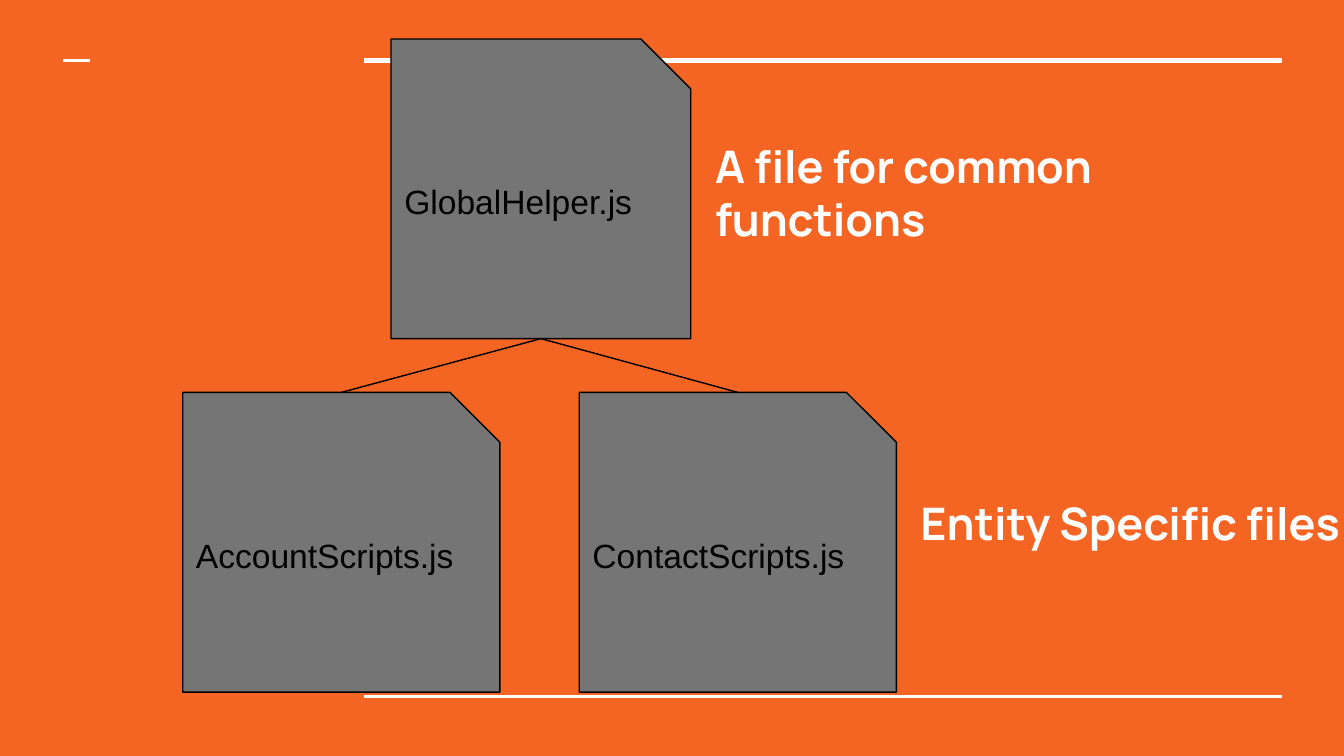
import pptx
import pptx.dml.color
import pptx.enum.shapes
import pptx.enum.text
import pptx.oxml
import pptx.util

Inches = pptx.util.Inches
RGBColor = pptx.dml.color.RGBColor
ORANGE = RGBColor(0xF4, 0x65, 0x24)
WHITE = RGBColor(0xFF, 0xFF, 0xFF)
BLACK = RGBColor(0x00, 0x00, 0x00)
GREY = RGBColor(0x75, 0x75, 0x75)
FILE_TOP = 2.92
FILE_WIDTH = 2.36
FILE_HEIGHT = 2.23


def write_text(shape, text, font_name, size, color, bold, anchor):
    """Fill a shape with one left-aligned run of text."""
    frame = shape.text_frame
    frame.word_wrap = True
    frame.auto_size = pptx.enum.text.MSO_AUTO_SIZE.NONE
    frame.vertical_anchor = anchor
    frame.margin_left = frame.margin_right = Inches(0.1)
    frame.margin_top = frame.margin_bottom = Inches(0.1)
    paragraph = frame.paragraphs[0]
    paragraph.alignment = pptx.enum.text.PP_ALIGN.LEFT
    paragraph.line_spacing = 1.0
    paragraph.space_before = pptx.util.Pt(0)
    run = paragraph.add_run()
    run.text = text
    run.font.name = font_name
    run.font.size = pptx.util.Pt(size)
    run.font.bold = bold
    run.font.color.rgb = color


def format_heading(shape, text, left, top):
    """Place a heading and write its text."""
    shape.left, shape.top = Inches(left), Inches(top)
    shape.width, shape.height = Inches(3.81), Inches(1.48)
    write_text(shape, text, "Manrope", 24, WHITE, True,
               pptx.enum.text.MSO_ANCHOR.TOP)


def add_line(slide, start, end, color, width):
    """Add a straight line without a shadow."""
    line = slide.shapes.add_connector(
        pptx.enum.shapes.MSO_CONNECTOR.STRAIGHT,
        *(Inches(value) for value in start + end))
    line.line.color.rgb = color
    line.line.width = pptx.util.Pt(width)
    line._element.spPr.append(pptx.oxml.parse_xml(
        '<a:effectLst xmlns:a="http://schemas.openxmlformats.org/drawingml/2006/main"/>'))
    return line


def add_file(slide, name, left, top, width):
    """Add a file box with a snipped corner."""
    shape = slide.shapes.add_shape(
        pptx.enum.shapes.MSO_SHAPE.SNIP_1_RECTANGLE,
        Inches(left), Inches(top), Inches(width), Inches(FILE_HEIGHT))
    shape.adjustments[0] = 1 / 6
    shape.shadow.inherit = False
    shape.fill.solid()
    shape.fill.fore_color.rgb = GREY
    shape.line.color.rgb = BLACK
    shape.line.width = pptx.util.Pt(0.75)
    write_text(shape, name, "Arial", 18, BLACK, False,
               pptx.enum.text.MSO_ANCHOR.MIDDLE)
    return shape


def main():
    """Build the script file hierarchy slide."""
    presentation = pptx.Presentation()
    presentation.slide_width = Inches(10)
    presentation.slide_height = presentation.slide_width * 9 // 16
    slide = presentation.slides.add_slide(presentation.slide_layouts[0])
    slide.background.fill.solid()
    slide.background.fill.fore_color.rgb = ORANGE
    subtitle = slide.placeholders[1]
    subtitle._element.getparent().remove(subtitle._element)

    for left, right, height, width in (
            (2.71, 9.54, 0.45, 3), (2.71, 9.54, 5.18, 1.5), (0.47, 0.67, 0.45, 1.5)):
        add_line(slide, (left, height), (right, height), WHITE, width)

    format_heading(slide.shapes.title, "A file for common functions", 5.22, 0.93)
    entity_files = [
        add_file(slide, name, left, FILE_TOP, FILE_WIDTH)
        for name, left in (("AccountScripts.js", 1.36), ("ContactScripts.js", 4.31))]
    helper = add_file(slide, "GlobalHelper.js", 2.91, 0.29, FILE_HEIGHT)
    for entity_file in entity_files:
        branch = add_line(slide, (4.02, 2.52), (5.49, FILE_TOP), BLACK, 0.75)
        branch.begin_connect(helper, 1)
        branch.end_connect(entity_file, 3)
        branch.begin_x = helper.left + helper.width // 2
        branch.begin_y = helper.top + helper.height
        branch.end_x = entity_file.left + entity_file.width // 2
        branch.end_y = entity_file.top

    entity_heading = slide.shapes.add_textbox(0, 0, 0, 0)
    format_heading(entity_heading, "Entity Specific files", 6.75, 3.59)
    presentation.save("out.pptx")


if __name__ == "__main__":
    main()
